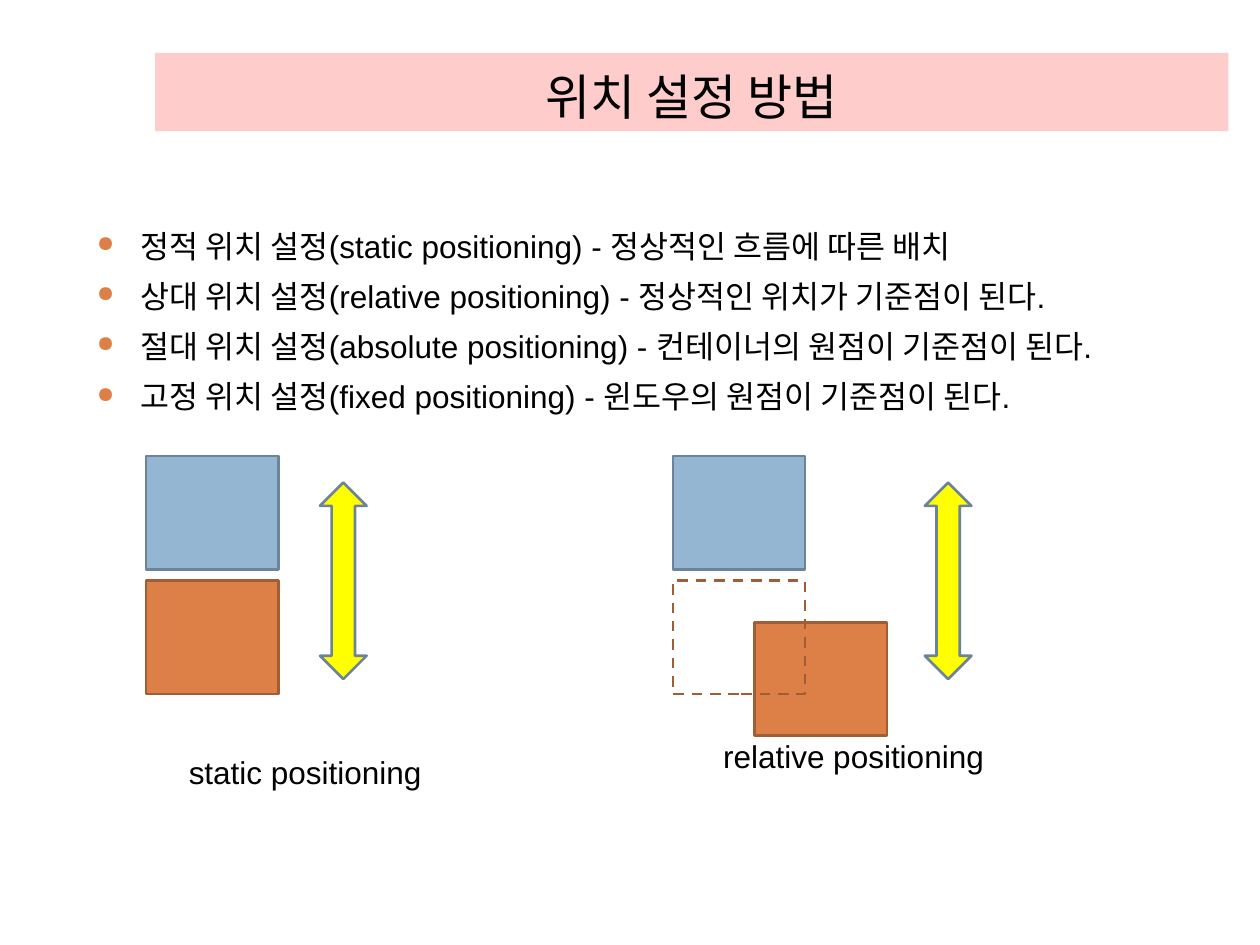
import pptx
import pptx.dml.color
import pptx.enum.dml
import pptx.enum.shapes
import pptx.enum.text
import pptx.oxml
import pptx.oxml.ns
import pptx.util
from dataclasses import dataclass

BLUE, BLUE_EDGE = "94B6D2", "6C8499"
ORANGE, ORANGE_EDGE = "DD8047", "A15D33"
YELLOW, PINK, BLACK = "FFFF00", "FFCCCC", "000000"
SHAPES = pptx.enum.shapes.MSO_SHAPE
METHODS = [
    "정적 위치 설정(static positioning) - 정상적인 흐름에 따른 배치",
    "상대 위치 설정(relative positioning) - 정상적인 위치가 기준점이 된다.",
    "절대 위치 설정(absolute positioning) - 컨테이너의 원점이 기준점이 된다.",
    "고정 위치 설정(fixed positioning) - 윈도우의 원점이 기준점이 된다.",
]


def color(value):
    return pptx.dml.color.RGBColor.from_string(value)


@dataclass
class Painter:
    presentation: object
    slide: object
    body_font: str = "Arial"
    title_font: str = "TeX Gyre Schola"
    columns: int = 100
    rows: int = 75

    def place(self, left, top, width, height):
        column = self.presentation.slide_width / self.columns
        row = self.presentation.slide_height / self.rows
        return [round(size) for size in (left * column, top * row, width * column, height * row)]

    def style(self, paragraph, text, size, font):
        paragraph.text = text
        paragraph.font.size = pptx.util.Pt(size)
        paragraph.font.name = font
        paragraph.font.color.rgb = color(BLACK)

    def shape(self, kind, box, fill=None, edge=None, dashed=False):
        shape = self.slide.shapes.add_shape(kind, *self.place(*box))
        shape.shadow.inherit = False
        if fill:
            shape.fill.solid()
            shape.fill.fore_color.rgb = color(fill)
        else:
            shape.fill.background()
        if edge:
            shape.line.color.rgb = color(edge)
            shape.line.width = pptx.util.Pt(1.5)
        else:
            shape.line.fill.background()
        if dashed:
            shape.line.dash_style = pptx.enum.dml.MSO_LINE.DASH
        return shape

    def title(self, text, box):
        frame = self.shape(SHAPES.RECTANGLE, box, PINK).text_frame
        frame.vertical_anchor = pptx.enum.text.MSO_ANCHOR.BOTTOM
        paragraph = frame.paragraphs[0]
        self.style(paragraph, text, 28, self.title_font)
        paragraph.alignment = pptx.enum.text.PP_ALIGN.CENTER

    def square(self, left, top, fill, edge, dashed=False):
        self.shape(SHAPES.RECTANGLE, (left, top, 10.5, 9), fill, edge, dashed)

    def arrow(self, left):
        arrow = self.shape(SHAPES.UP_DOWN_ARROW, (left, 38.3, 3.7, 15.6), YELLOW, BLUE_EDGE)
        arrow.adjustments[0] = 0.53
        arrow.adjustments[1] = 0.5

    def text(self, lines, box):
        frame = self.slide.shapes.add_textbox(*self.place(*box)).text_frame
        frame.word_wrap = True
        for index, line in enumerate(lines):
            paragraph = frame.add_paragraph() if index else frame.paragraphs[0]
            self.style(paragraph, line, 18, self.body_font)
        return frame

    def bullets(self, lines, box):
        indent = pptx.util.Inches(0.35)
        for index, paragraph in enumerate(self.text(lines, box).paragraphs):
            paragraph.space_before = pptx.util.Pt(7 if index else 0)
            properties = paragraph._p.get_or_add_pPr()
            properties.set("marL", str(indent))
            properties.set("indent", str(-indent))
            namespace = pptx.oxml.ns.nsdecls("a")
            marks = [
                f'<a:buClr {namespace}><a:srgbClr val="{ORANGE}"/></a:buClr>',
                f'<a:buSzPct {namespace} val="70000"/>',
                f'<a:buChar {namespace} char="●"/>',
            ]
            position = properties.index(properties.find(pptx.oxml.ns.qn("a:defRPr")))
            for offset, mark in enumerate(marks):
                properties.insert(position + offset, pptx.oxml.parse_xml(mark))


def main():
    presentation = pptx.Presentation()
    presentation.slide_width = pptx.util.Inches(10)
    presentation.slide_height = pptx.util.Inches(7.5)
    slide = presentation.slides.add_slide(presentation.slide_layouts[6])
    painter = Painter(presentation, slide)

    painter.title("위치 설정 방법", (12.3, 4.2, 85.2, 6.2))
    painter.bullets(METHODS, (6.7, 17.5, 89.2, 49.2))

    static, relative = 11.6, 53.4
    first_row, second_row = 36.2, 46.1
    painter.square(static, first_row, BLUE, BLUE_EDGE)
    painter.square(static, second_row, ORANGE, ORANGE_EDGE)
    painter.arrow(25.4)
    painter.square(relative, first_row, BLUE, BLUE_EDGE)
    painter.square(relative + 6.5, second_row + 3.3, ORANGE, ORANGE_EDGE)
    painter.arrow(73.4)
    painter.square(relative, second_row, None, ORANGE_EDGE, dashed=True)

    painter.text(["static positioning"], (14, 59.3, 20.7, 4))
    painter.text(["relative positioning"], (56.4, 58, 22.9, 4))
    presentation.save("out.pptx")


if __name__ == "__main__":
    main()
